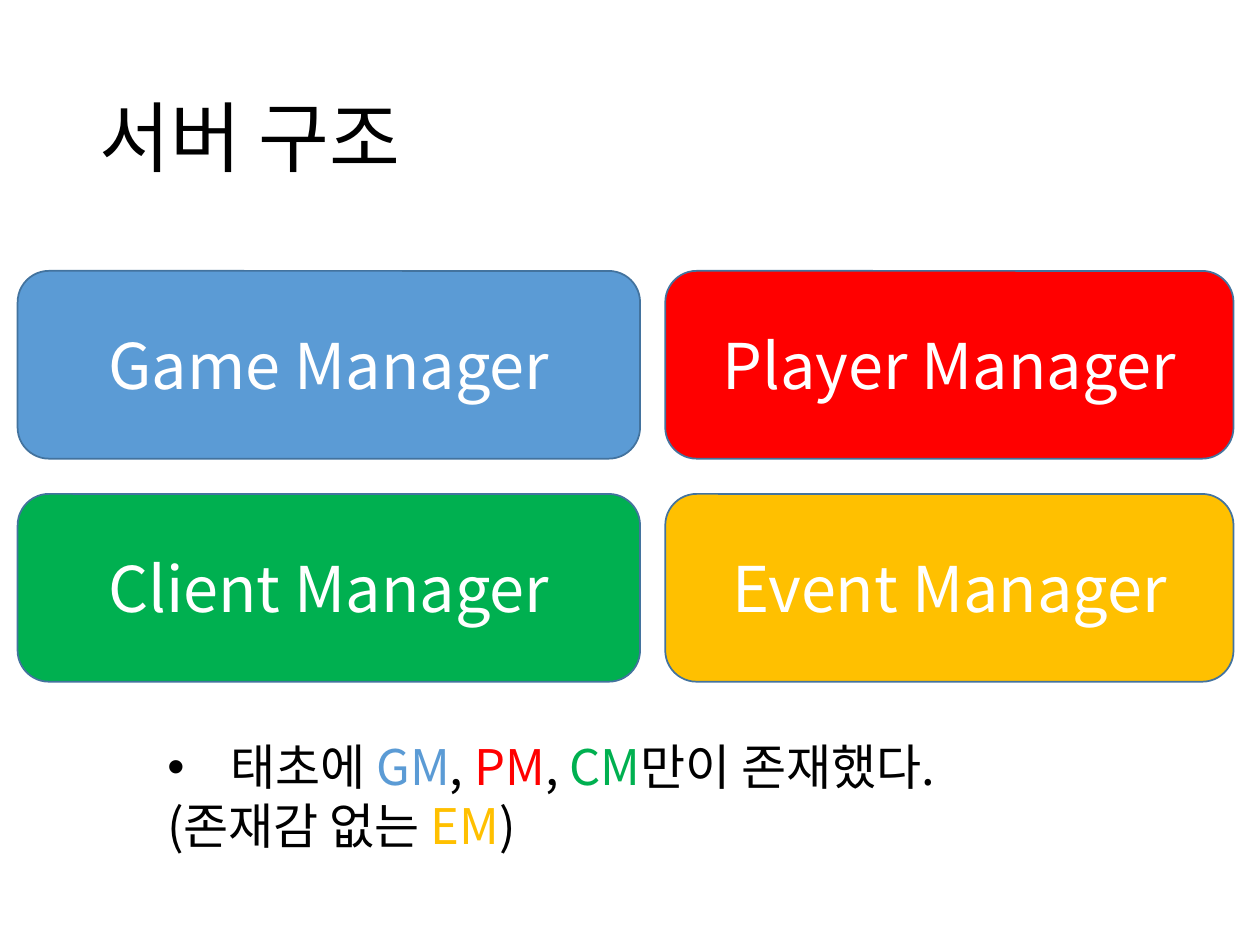
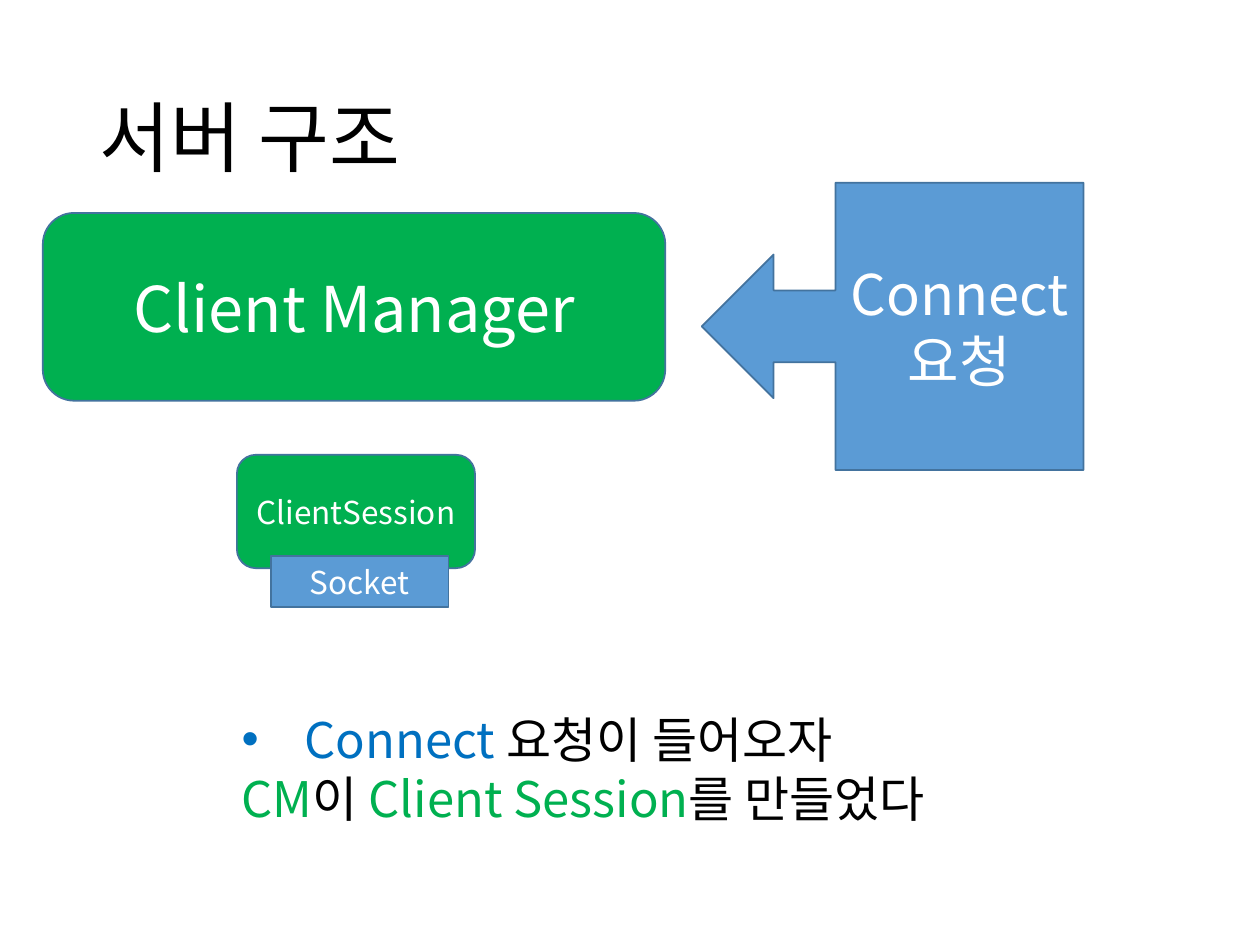
from lxml import etree
from pptx import Presentation
from pptx.dml.color import RGBColor
from pptx.enum.shapes import MSO_SHAPE
from pptx.enum.text import MSO_ANCHOR, MSO_AUTO_SIZE, PP_ALIGN
from pptx.oxml.ns import qn
from pptx.util import Pt

PX = 9144  # EMU, 100 px to the inch
FONT = "Noto Sans CJK KR"

BLACK = RGBColor(0x00, 0x00, 0x00)
WHITE = RGBColor(0xFF, 0xFF, 0xFF)
BLUE = RGBColor(0x5B, 0x9B, 0xD5)
DEEP = RGBColor(0x00, 0x70, 0xC0)
RED = RGBColor(0xFF, 0x00, 0x00)
GREEN = RGBColor(0x00, 0xB0, 0x50)
GOLD = RGBColor(0xFF, 0xC0, 0x00)
EDGE = RGBColor(0x43, 0x73, 0x9E)

ROUND = MSO_SHAPE.ROUNDED_RECTANGLE
RECT = MSO_SHAPE.RECTANGLE
CALLOUT = MSO_SHAPE.LEFT_ARROW_CALLOUT
MIDDLE = MSO_ANCHOR.MIDDLE
TOP = MSO_ANCHOR.TOP
LEFT = PP_ALIGN.LEFT
CENTER = PP_ALIGN.CENTER
GROW = MSO_AUTO_SIZE.SHAPE_TO_FIT_TEXT

TITLE = "서버 구조"
TITLE_BOX = (69, 40, 862, 145)
WIDE, SLIM, TALL = 494, 451, 149


def scale(box):
    return [n * PX for n in box]


class Deck:
    def __init__(self):
        self.file = Presentation()
        self.file.slide_width, self.file.slide_height = scale((1000, 750))
        self.slide = None

    def run(self, para, text, size, color):
        run = para.add_run()
        run.text = text
        font = run.font
        font.size = Pt(size)
        font.color.rgb = color
        font.name = FONT
        asian = etree.SubElement(run._r.get_or_add_rPr(), qn("a:ea"))
        asian.set("typeface", FONT)

    def page(self, title):
        """Start a slide that has only a title."""
        self.slide = self.file.slides.add_slide(self.file.slide_layouts[5])
        shape = self.slide.shapes.title
        shape.left, shape.top, shape.width, shape.height = scale(TITLE_BOX)
        shape.text_frame.vertical_anchor = MIDDLE
        para = shape.text_frame.paragraphs[0]
        para.alignment = LEFT
        para.line_spacing = 0.9
        self.run(para, title, 44, BLACK)

    def block(self, kind, box, fill, lines, size):
        shape = self.slide.shapes.add_shape(kind, *scale(box))
        shape.shadow.inherit = False
        shape.fill.solid()
        shape.fill.fore_color.rgb = fill
        shape.line.color.rgb = EDGE
        shape.line.width = Pt(1)
        frame = shape.text_frame
        frame.word_wrap = True
        frame.vertical_anchor = MIDDLE
        para = frame.paragraphs[0]
        para.alignment = CENTER
        for i, line in enumerate(lines.split("\n")):
            if i:
                para.add_line_break()
            self.run(para, line, size, WHITE)

    def bullet(self, para):
        props = para._p.get_or_add_pPr()
        props.set("marL", str(50 * PX))
        props.set("indent", str(-50 * PX))
        etree.SubElement(props, qn("a:buFont")).set("typeface", "Arial")
        etree.SubElement(props, qn("a:buChar")).set("char", "•")

    def note(self, box, rows):
        """Add rows of (text, color) runs; the first row has a bullet."""
        frame = self.slide.shapes.add_textbox(*scale(box)).text_frame
        frame.word_wrap = True
        frame.auto_size = GROW
        frame.vertical_anchor = TOP
        for i, row in enumerate(rows):
            para = frame.add_paragraph() if i else frame.paragraphs[0]
            if i == 0:
                self.bullet(para)
            for text, color in row:
                self.run(para, text, 28, color)


def managers(deck):
    deck.page(TITLE)
    grid = [
        [("Game", BLUE), ("Player", RED)],
        [("Client", GREEN), ("Event", GOLD)],
    ]
    cols = [(14, WIDE), (528, SLIM)]
    for i, row in enumerate(grid):
        top = 215 + i * 177
        for (left, width), (name, fill) in zip(cols, row):
            box = (left, top, width, TALL)
            deck.block(ROUND, box, fill, f"{name} Manager", 36)
    deck.note((123, 580, 688, 104), [
        [("태초에 ", BLACK), ("GM", BLUE), (", ", BLACK), ("PM", RED),
         (", ", BLACK), ("CM", GREEN), ("만이 존재했다.", BLACK)],
        [("(존재감 없는 ", BLACK), ("EM", GOLD), (")", BLACK)],
    ])


def connect(deck):
    deck.page(TITLE)
    deck.block(ROUND, (34, 169, WIDE, TALL), GREEN, "Client Manager", 36)
    deck.note((182, 558, 592, 104), [
        [("Connect ", DEEP), ("요청이 들어오자", BLACK)],
        [("CM", GREEN), ("이 ", BLACK), ("Client Session", GREEN),
         ("를 만들었다", BLACK)],
    ])
    deck.block(CALLOUT, (557, 145, 303, 228), BLUE, "Connect\n요청", 32)
    deck.block(ROUND, (188, 361, 189, 90), GREEN, "ClientSession", 18)
    deck.block(RECT, (215, 441, 141, 41), BLUE, "Socket", 18)


def main():
    deck = Deck()
    managers(deck)
    connect(deck)
    deck.file.save("out.pptx")


if __name__ == "__main__":
    main()
